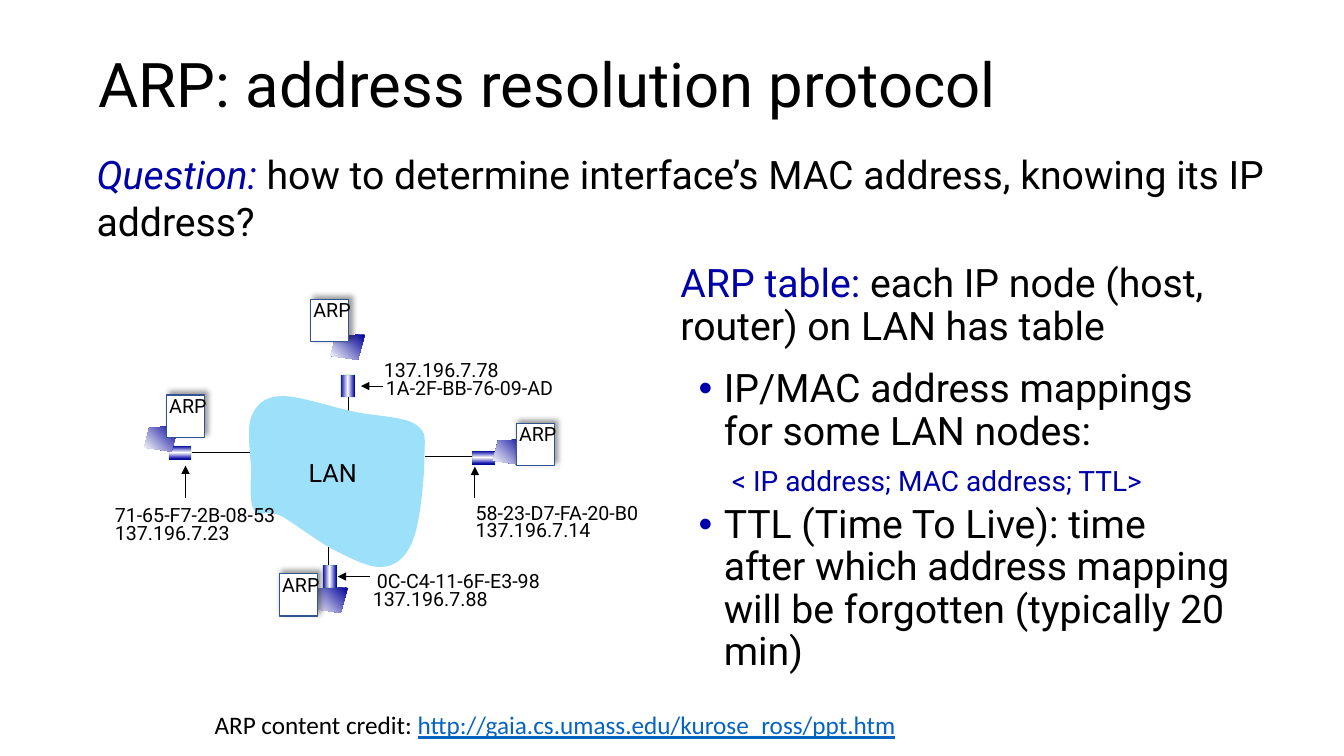
from lxml.etree import SubElement
from pptx import Presentation
from pptx.dml.color import RGBColor
from pptx.enum.shapes import MSO_CONNECTOR, MSO_SHAPE
from pptx.enum.text import MSO_ANCHOR, PP_ALIGN
from pptx.oxml import parse_xml
from pptx.oxml.ns import nsdecls, qn
from pptx.util import Inches, Pt

BLACK, NAVY, LINK = "000000", "0000A8", "0563C1"
FACE = "Roboto"

TITLE = [("ARP: address resolution protocol", {})]
QUESTION = [
    ("Question: ", {"color": NAVY, "italic": True}),
    ("how to determine interface’s MAC address, knowing its IP address?", {}),
]
TABLE = [("ARP table: ", {"color": NAVY}),
         ("each IP node (host, router) on LAN has table", {})]
BULLET = {"left": 0.76, "hang": -0.25, "bullet": "•", "before": 5}
FACTS = [
    ([("IP/MAC address mappings for some LAN nodes:", {})], {**BULLET, "before": 0}),
    ([("< IP address; MAC address; TTL>", {"color": NAVY, "size": 20})],
     {"left": 0.84, "before": 10}),
    ([("TTL (Time To Live): time after which address mapping will be "
       "forgotten (typically 20 min)", {})], BULLET),
]
CREDIT = [
    ("ARP content credit: ", {}),
    ("http://gaia.cs.umass.edu/kurose_ross/ppt.htm",
     {"color": LINK, "underline": True}),
]

# Each host: ARP box, screen, card (left, top, turn), wire, arrow, labels
HOSTS = [
    {"box": (3.08, 2.97), "screen": (3.28, 3.32), "card": (3.38, 3.72, 0),
     "wire": (3.46, 3.72, 3.46, 4.27), "arrow": (3.8, 3.83, 3.58, 3.83),
     "labels": [("137.196.7.78", 3.71, 3.5), ("1A-2F-BB-76-09-AD", 3.73, 3.68)]},
    {"box": (2.77, 5.69), "screen": (3.11, 5.83), "card": (3.2, 5.61, 0),
     "wire": (3.26, 5.72, 3.26, 5.36), "arrow": (3.67, 5.72, 3.35, 5.72),
     "labels": [("0C-C4-11-6F-E3-98", 3.64, 5.59), ("137.196.7.88", 3.6, 5.77)]},
    {"box": (1.65, 3.92), "screen": (1.43, 4.23), "card": (1.72, 4.38, 90),
     "wire": (1.9, 4.49, 2.69, 4.49), "arrow": (1.84, 4.94, 1.84, 4.62),
     "labels": [("71-65-F7-2B-08-53", 1.04, 4.94), ("137.196.7.23", 1.04, 5.12)]},
    {"box": (5.12, 4.2), "screen": (4.89, 4.36), "card": (4.73, 4.43, 90),
     "wire": (4.91, 4.53, 4.22, 4.53), "arrow": (4.71, 4.94, 4.71, 4.63),
     "labels": [("58-23-D7-FA-20-B0", 4.62, 4.92), ("137.196.7.14", 4.62, 5.09)]},
]
SCREEN = [(0.34, 0), (0.05, 0.01), (0, 0.21), (0.27, 0.25)]
# Start point, then two handles and an end point for each curve
CLOUD = [
    (2.78, 3.93),
    (2.61, 3.94), (2.54, 4.02), (2.49, 4.14), (2.45, 4.25), (2.48, 4.49), (2.49, 4.64),
    (2.49, 4.79), (2.47, 4.98), (2.52, 5.06), (2.57, 5.14), (2.65, 5.05), (2.79, 5.12),
    (2.92, 5.19), (3.17, 5.39), (3.34, 5.47), (3.52, 5.56), (3.7, 5.65), (3.83, 5.62),
    (3.95, 5.6), (4.05, 5.5), (4.11, 5.32), (4.17, 5.14), (4.21, 4.72), (4.21, 4.53),
    (4.21, 4.35), (4.24, 4.29), (4.12, 4.21), (4, 4.13), (3.71, 4.13), (3.49, 4.08),
    (3.26, 4.03), (2.94, 3.92), (2.78, 3.93),
]

prs = Presentation()
prs.slide_width, prs.slide_height = Inches(13.33), Inches(7.5)
slide = prs.slides.add_slide(prs.slide_layouts[6])
shapes = slide.shapes


def rgb(code):
    return RGBColor.from_string(code)


def style(font, look):
    for key, value in look.items():
        if key == "color":
            font.color.rgb = rgb(value)
        else:
            setattr(font, key, Pt(value) if key == "size" else value)


def indent(para, left=0, hang=0, bullet=None, before=0):
    props = para._p.get_or_add_pPr()
    props.set("marL", str(Inches(left)))
    props.set("indent", str(Inches(hang)))
    if bullet:
        tint = SubElement(props, qn("a:buClr"))
        SubElement(tint, qn("a:srgbClr")).set("val", NAVY)
        SubElement(props, qn("a:buFont")).set("typeface", "Arial")
        SubElement(props, qn("a:buChar")).set("char", bullet)
    para.space_before = Pt(before)


def write(at, paras, size, face=FACE, space=None, align=None, anchor=MSO_ANCHOR.TOP):
    """Add a text box; paras holds (runs, indent settings) pairs."""
    frame = shapes.add_textbox(*map(Inches, at)).text_frame
    frame.word_wrap = True
    frame.vertical_anchor = anchor
    for i, (runs, inset) in enumerate(paras):
        para = frame.add_paragraph() if i else frame.paragraphs[0]
        indent(para, **inset)
        para.alignment = align
        if space:
            para.line_spacing = space
        for text, look in runs:
            run = para.add_run()
            run.text = text
            style(run.font, {"name": face, "size": size, "color": BLACK, **look})


def label(text, left, top, width):
    write((left, top, width, 0.34), [([(text, {})], {})], 14)


def line(ends, arrow=False):
    wire = shapes.add_connector(MSO_CONNECTOR.STRAIGHT, *map(Inches, ends))
    wire.line.color.rgb = rgb(BLACK)
    wire.line.width = Pt(0.75)
    if arrow:
        SubElement(wire.line._get_or_add_ln(), qn("a:tailEnd")).set("type", "triangle")
    SubElement(wire._element.spPr, qn("a:effectLst"))


def outline(points):
    maker = shapes.build_freeform(*map(Inches, points[0]), scale=1.0)
    maker.add_line_segments([tuple(map(Inches, p)) for p in points[1:]], close=True)
    shape = maker.convert_to_shape()
    shape.shadow.inherit = False
    shape.line.fill.background()
    return shape


def bend(shape):
    """Join every three straight segments into one cubic curve."""
    legs = list(shape._element.iter(qn("a:lnTo")))
    for i in range(0, len(legs) - 2, 3):
        curve = parse_xml(f'<a:cubicBezTo {nsdecls("a")}/>')
        legs[i].addprevious(curve)
        for leg in legs[i:i + 3]:
            curve.append(leg[0])
            leg.getparent().remove(leg)


def blend(shape, stops, angle):
    """Fill a shape with a linear gradient of (percent, colour) stops."""
    shape.fill.background()
    old = shape._element.spPr.find(qn("a:noFill"))
    marks = "".join(f'<a:gs pos="{at * 1000}"><a:srgbClr val="{code}"/></a:gs>'
                    for at, code in stops)
    new = parse_xml(f'<a:gradFill {nsdecls("a")} rotWithShape="1"><a:gsLst>{marks}'
                    f'</a:gsLst><a:lin ang="{angle * 60000}" scaled="0"/></a:gradFill>')
    old.getparent().replace(old, new)


def block(left, top, width, height, edge, weight):
    shape = shapes.add_shape(MSO_SHAPE.RECTANGLE, *map(Inches, (left, top, width, height)))
    shape.shadow.inherit = False
    shape.line.color.rgb = rgb(edge)
    shape.line.width = Pt(weight)
    return shape


def card(left, top, turn):
    shape = block(left, top, 0.13 if turn else 0.14, 0.22, "008000", 0.75)
    blend(shape, [(0, NAVY), (50, "FFFFFF"), (99, NAVY)], 0)
    shape.rotation = turn
    tint = shape.line._get_or_add_ln().find(".//" + qn("a:srgbClr"))
    SubElement(tint, qn("a:alpha")).set("val", "15000")


def cache(left, top):
    """Draw the shadowed ARP box of a host."""
    shape = block(left, top, 0.38, 0.42, "325491", 1)
    shape.fill.solid()
    shape.fill.fore_color.rgb = rgb("FFFFFF")
    effects = shape._element.spPr.find(qn("a:effectLst"))
    effects.append(parse_xml(
        f'<a:outerShdw {nsdecls("a")} blurRad="{Pt(4)}" dist="{Pt(3)}" '
        f'dir="{315 * 60000}" algn="ctr" rotWithShape="0"><a:srgbClr val="{BLACK}">'
        '<a:alpha val="40000"/></a:srgbClr></a:outerShdw>'))
    label("ARP", left - 0.07, top - 0.06, 0.61)


write((0.88, 0.38, 11.5, 0.98), [(TITLE, {})], 44, space=0.9, anchor=MSO_ANCHOR.MIDDLE)
write((6.65, 2.57, 5.68, 1.04), [(TABLE, {})], 28, space=0.9)
write((0.86, 1.44, 12.07, 1.04), [(QUESTION, {})], 28)

for host in HOSTS:
    line(host["wire"])
cloud = outline(CLOUD)
bend(cloud)
cloud.fill.solid()
cloud.fill.fore_color.rgb = rgb("9CE0FA")
write((2.35, 4.49, 1.9, 0.4), [([("LAN", {})], {})], 18, align=PP_ALIGN.CENTER)

for host in HOSTS:
    line(host["arrow"], arrow=True)
    card(*host["card"])
    left, top = host["screen"]
    screen = outline([(left + x, top + y) for x, y in SCREEN])
    blend(screen, [(0, "000099"), (100, "FFFFFF")], 135)
    for text, x, y in host["labels"]:
        label(text, x, y, 1.34 if "." in text else 1.9)

for host in HOSTS:
    cache(*host["box"])

write((6.32, 3.61, 5.98, 3.18), FACTS, 28, space=0.9)
write((2.03, 6.99, 7.46, 0.4), [(CREDIT, {})], 18, face="Calibri")

prs.save("out.pptx")
